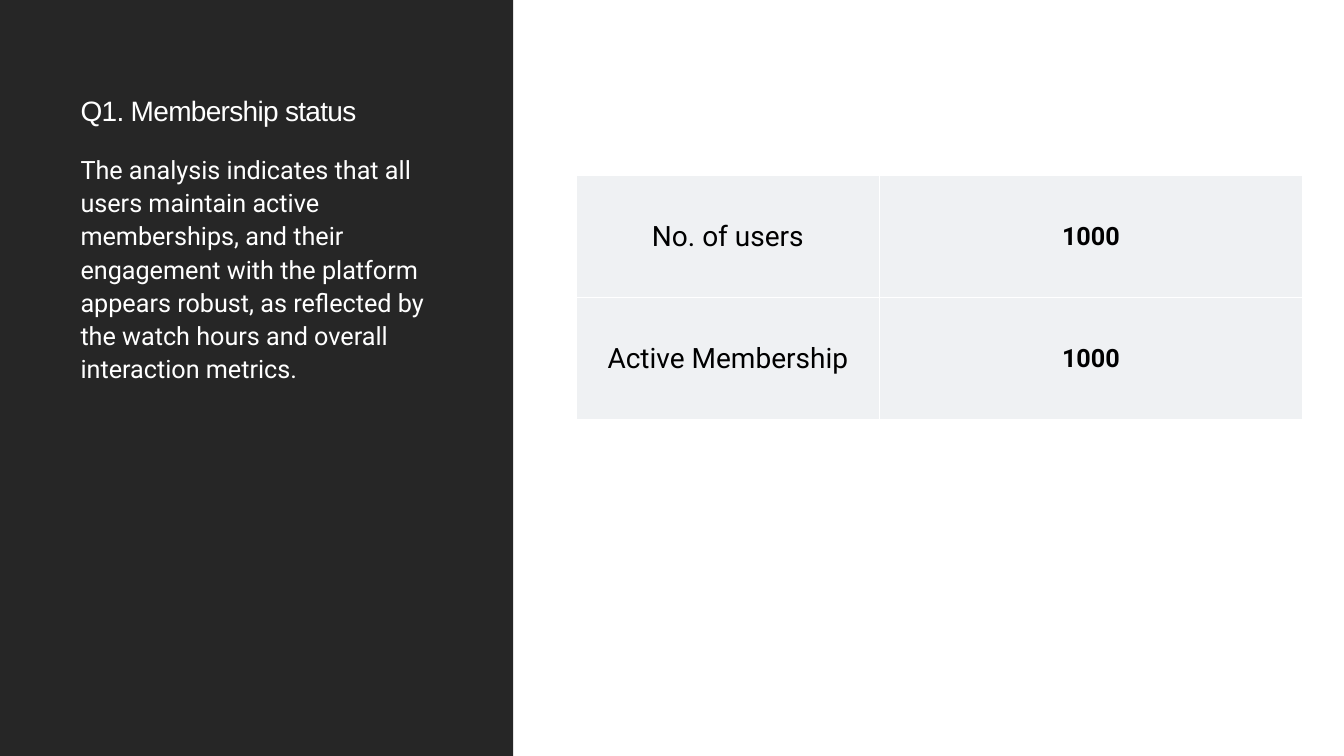
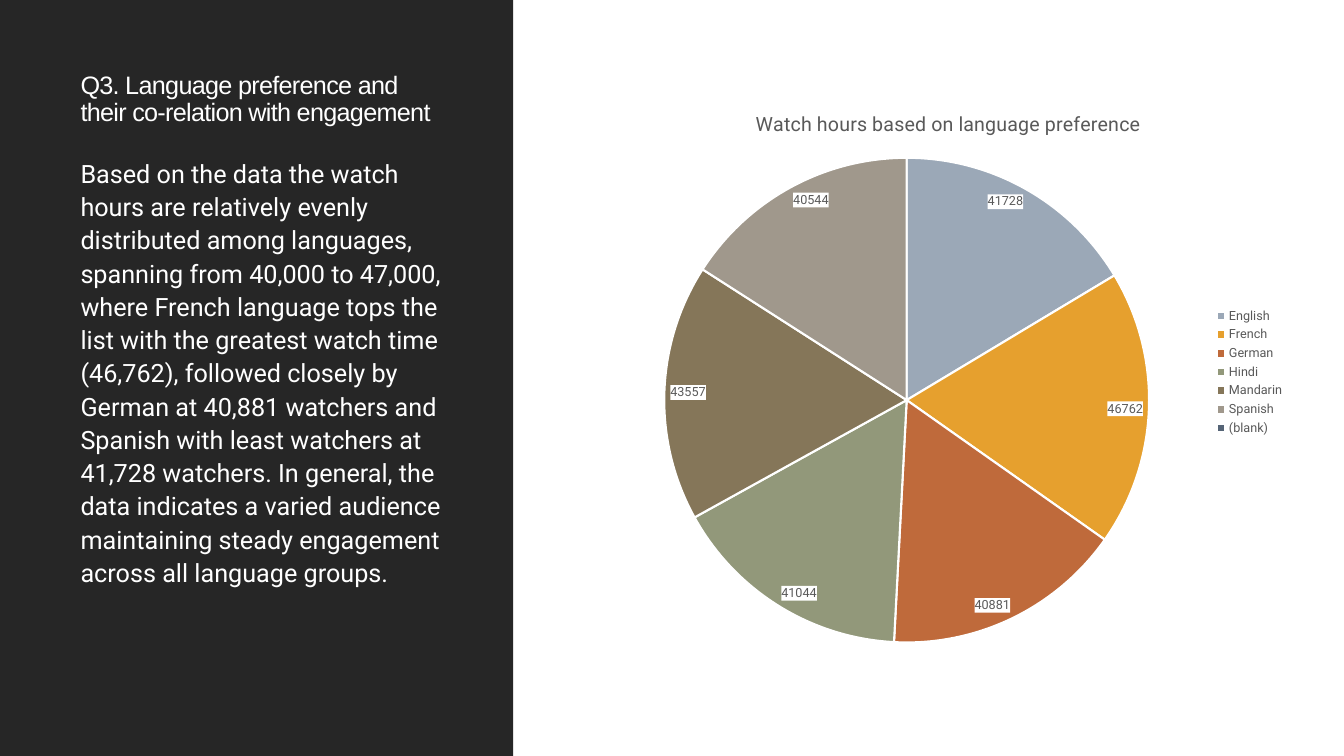
import pptx
import pptx.chart.data
import pptx.dml.color
import pptx.enum.chart
import pptx.enum.shapes
import pptx.enum.text
import pptx.oxml
import pptx.oxml.ns
import pptx.util

Inches, Pt = pptx.util.Inches, pptx.util.Pt
ANCHOR, ALIGN = pptx.enum.text.MSO_ANCHOR, pptx.enum.text.PP_ALIGN

PANEL, WHITE, BLACK, GREY, CELL = "262626", "FFFFFF", "000000", "595959", "EFF1F3"
HEADING_FONT, BODY_FONT = "Arial", "Roboto"
TEXT_LEFT, TEXT_WIDTH = 0.7, 3.85

MEMBERSHIP = {
    "title": "Q1. Membership status",
    "title_size": 20,
    "body_top": 1.45,
    "body": "The analysis indicates that all users maintain active memberships, and their "
            "engagement with the platform appears robust, as reflected by the watch hours "
            "and overall interaction metrics.",
}
LANGUAGE = {
    "title": "Q3. Language preference and their co-relation with engagement",
    "title_size": 18,
    "body_top": 1.49,
    "body": "Based on the data the watch hours are relatively evenly distributed among "
            "languages, spanning from 40,000 to 47,000, where French language tops the list "
            "with the greatest watch time (46,762), followed closely by German at 40,881 "
            "watchers and Spanish with least watchers at 41,728 watchers. In general, the "
            "data indicates a varied audience maintaining steady engagement across all "
            "language groups.",
}
USER_COUNTS = [("No. of users", "1000"), ("Active Membership", "1000")]
COUNT_WIDTHS, COUNT_HEIGHT = (3, 4.2), 1.21

HOURS_TITLE = "Watch hours based on language preference"
WATCH_HOURS = [
    ("English", 41728, "9BA8B7"),
    ("French", 46762, "E6A02E"),
    ("German", 40881, "BF6A3B"),
    ("Hindi", 41044, "92987A"),
    ("Mandarin", 43557, "857659"),
    ("Spanish", 40544, "A0988C"),
    ("(blank)", None, "556476"),
]
PIE_AREA = {"x": 0.09, "y": 0.12, "w": 0.7, "h": 0.86}


def rgb(colour):
    """Turn a hex string into a colour."""
    return pptx.dml.color.RGBColor.from_string(colour)


def paint(fill, colour):
    """Make a fill solid."""
    fill.solid()
    fill.fore_color.rgb = rgb(colour)


def style(font, size, colour, name=BODY_FONT, bold=False):
    """Set the font of a run or a chart part."""
    font.size, font.name, font.bold = Pt(size), name, bold
    font.color.rgb = rgb(colour)


def xml(markup):
    """Parse markup that uses the a: and c: prefixes."""
    head, rest = markup.split(">", 1)
    tail = "/" if head.endswith("/") else ""
    return pptx.oxml.parse_xml(
        f"{head.rstrip('/')} {pptx.oxml.ns.nsdecls('a', 'c')}{tail}>{rest}")


def add_text(slide, text, top, height, size, name, anchor, spacing):
    """Add one paragraph to the side panel and return it."""
    box = slide.shapes.add_textbox(
        Inches(TEXT_LEFT), Inches(top), Inches(TEXT_WIDTH), Inches(height))
    frame = box.text_frame
    frame.word_wrap, frame.vertical_anchor = True, anchor
    frame.text = text
    paragraph = frame.paragraphs[0]
    paragraph.line_spacing = spacing
    style(paragraph.runs[0].font, size, WHITE, name)
    return paragraph


def add_panel_slide(deck, content):
    """Add a slide with the dark panel, its title and its body."""
    slide = deck.slides.add_slide(deck.slide_layouts[6])
    panel = slide.shapes.add_shape(
        pptx.enum.shapes.MSO_SHAPE.RECTANGLE, 0, 0, Inches(5.09), deck.slide_height)
    panel.shadow.inherit = False
    paint(panel.fill, PANEL)
    panel.line.fill.background()
    title = add_text(slide, content["title"], 0.86, 0.45, content["title_size"],
                     HEADING_FONT, ANCHOR.BOTTOM, 0.9)
    title.runs[0].font._element.set("spc", "-50")
    body = add_text(slide, content["body"], content["body_top"], 5.19, 18,
                    BODY_FONT, ANCHOR.TOP, 1.1)
    body.space_before, body.space_after = Pt(12), Pt(2)
    return slide


def fill_cell(cell, text, is_count):
    """Write and format one table cell."""
    cell.text = text
    cell.vertical_anchor = ANCHOR.MIDDLE
    cell.margin_left = cell.margin_right = cell.margin_top = Inches(0.01)
    cell.margin_bottom = 0
    paragraph = cell.text_frame.paragraphs[0]
    paragraph.alignment = ALIGN.CENTER
    style(paragraph.runs[0].font, 18 if is_count else 20, BLACK, bold=is_count)
    paint(cell.fill, CELL)
    properties = cell._tc.get_or_add_tcPr()
    for position, side in enumerate("LRTB"):
        properties.insert(position, xml(
            f'<a:ln{side} w="12700"><a:solidFill><a:srgbClr val="{WHITE}"/>'
            f'</a:solidFill></a:ln{side}>'))


def add_user_counts(slide):
    """Add the table of user counts."""
    table = slide.shapes.add_table(
        len(USER_COUNTS), len(COUNT_WIDTHS), Inches(5.72), Inches(1.74),
        Inches(sum(COUNT_WIDTHS)), Inches(COUNT_HEIGHT * len(USER_COUNTS))).table
    table.first_row = table.horz_banding = False
    for column, width in zip(table.columns, COUNT_WIDTHS):
        column.width = Inches(width)
    for r, row in enumerate(USER_COUNTS):
        table.rows[r].height = Inches(COUNT_HEIGHT)
        for c, text in enumerate(row):
            fill_cell(table.cell(r, c), text, c == 1)


def add_watch_hours(slide):
    """Add the pie chart of watch hours by language."""
    languages, hours, colours = zip(*WATCH_HOURS)
    data = pptx.chart.data.CategoryChartData()
    data.categories = languages
    data.add_series("Series 1", hours)
    chart = slide.shapes.add_chart(
        pptx.enum.chart.XL_CHART_TYPE.PIE, Inches(5.97), Inches(0.89),
        Inches(6.87), Inches(5.6), data).chart
    style(chart.font, 10, BLACK)

    chart.has_title = True
    heading = chart.chart_title.text_frame
    heading.text = HOURS_TITLE
    style(heading.paragraphs[0].runs[0].font, 14, GREY)
    chart.chart_title.include_in_layout = False

    chart.has_legend = True
    chart.legend.position = pptx.enum.chart.XL_LEGEND_POSITION.RIGHT
    chart.legend.include_in_layout = False
    style(chart.legend.font, 9, GREY)

    pie = chart.plots[0]
    pie.vary_by_categories = True
    series = pie.series[0]
    for index, colour in enumerate(colours):
        wedge = series.points[index].format
        paint(wedge.fill, colour)
        wedge.line.color.rgb = rgb(WHITE)
        wedge.line.width = Pt(1.5)

    labels = series.data_labels
    labels.show_value = True
    labels.show_percentage = labels.show_category_name = False
    labels.position = pptx.enum.chart.XL_LABEL_POSITION.INSIDE_END
    style(labels.font, 9, GREY)
    label_text = labels._element.find(pptx.oxml.ns.qn("c:txPr"))
    label_text.addprevious(xml(
        f'<c:spPr><a:solidFill><a:srgbClr val="{WHITE}"/></a:solidFill></c:spPr>'))

    plot_area = chart._chartSpace.chart.plotArea
    for old in plot_area.findall(pptx.oxml.ns.qn("c:layout")):
        plot_area.remove(old)
    modes = "".join(f'<c:{axis}Mode val="edge"/>' for axis in "xy")
    sizes = "".join(f'<c:{key} val="{value}"/>' for key, value in PIE_AREA.items())
    plot_area.insert(0, xml(
        '<c:layout><c:manualLayout><c:layoutTarget val="inner"/>'
        f'{modes}{sizes}</c:manualLayout></c:layout>'))


def main():
    """Build and save the presentation."""
    deck = pptx.Presentation()
    deck.slide_width, deck.slide_height = Inches(13.33), Inches(7.5)
    add_user_counts(add_panel_slide(deck, MEMBERSHIP))
    add_watch_hours(add_panel_slide(deck, LANGUAGE))
    deck.save("out.pptx")


if __name__ == "__main__":
    main()
